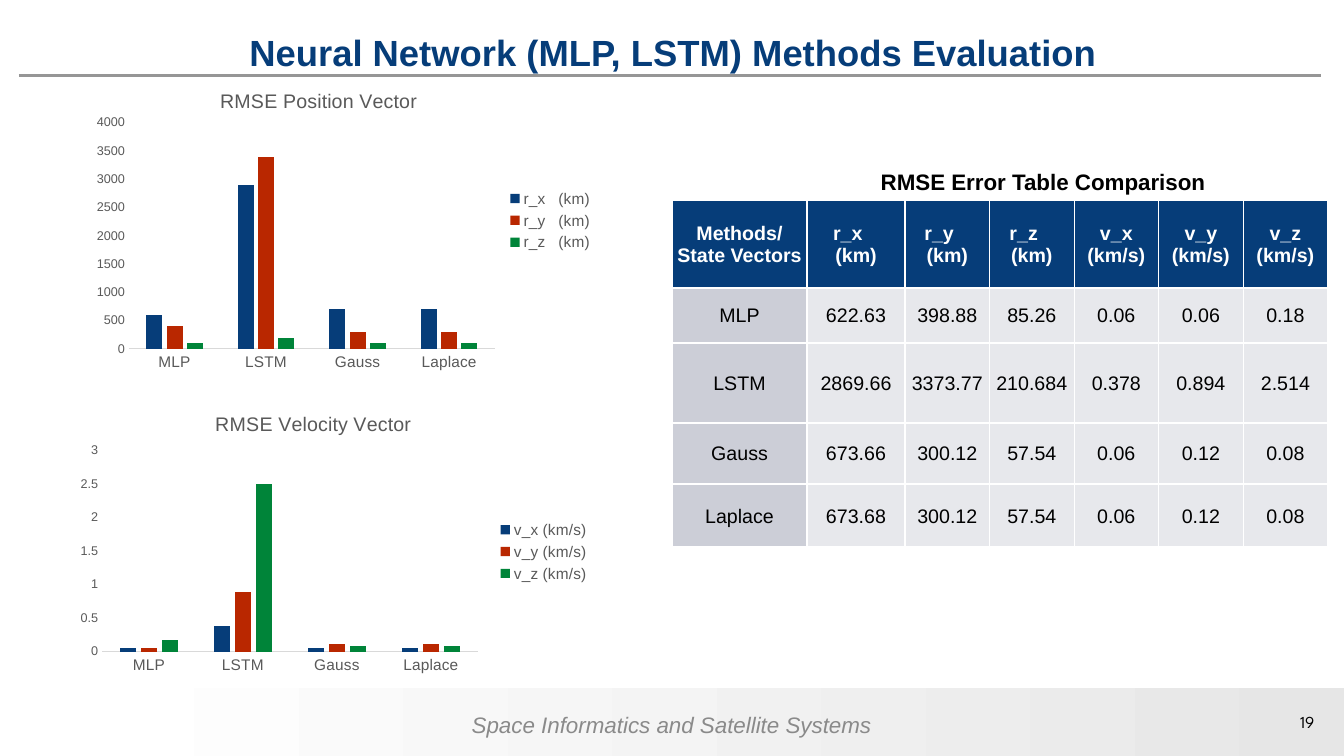
from lxml import etree
from pptx import Presentation
from pptx.chart.data import CategoryChartData
from pptx.dml.color import RGBColor
from pptx.enum import chart as ch, shapes, text
from pptx.oxml.ns import qn
from pptx.util import Pt

NAVY, GREY = "063D79", "595959"
METHODS = ["MLP", "LSTM", "Gauss", "Laplace"]
RMSE = {
    "r_x   (km)": [622.63, 2869.66, 673.66, 673.68],
    "r_y   (km)": [398.88, 3373.77, 300.12, 300.12],
    "r_z   (km)": [85.26, 210.684, 57.54, 57.54],
    "v_x (km/s)": [0.06, 0.378, 0.06, 0.06],
    "v_y (km/s)": [0.06, 0.894, 0.12, 0.12],
    "v_z (km/s)": [0.18, 2.514, 0.08, 0.08],
}
SERIES_COLORS = [NAVY, "B92700", "008439"]


def rgb(value):
    return RGBColor.from_string(value)


def style(font, size, color, bold=False, italic=False, name="Arial"):
    font.name, font.size, font.bold, font.italic = name, Pt(size), bold, italic
    font.color.rgb = rgb(color)


def add_label(s, box, label, align, wrap=True, **look):
    tf = s.shapes.add_textbox(*map(Pt, box)).text_frame
    tf.word_wrap = wrap
    tf.text = label
    p = tf.paragraphs[0]
    p.alignment = align
    style(p.runs[0].font, **look)


def add_title(s, box, label):
    sp = s.shapes.title
    sp.left, sp.top, sp.width, sp.height = map(Pt, box)
    tf = sp.text_frame
    tf.text = label
    tf.vertical_anchor = text.MSO_ANCHOR.MIDDLE
    p = tf.paragraphs[0]
    p.alignment = text.PP_ALIGN.CENTER
    style(p.runs[0].font, 26, NAVY, bold=True)


def add_rule(s, x1, x2, y):
    line = s.shapes.add_connector(shapes.MSO_CONNECTOR.STRAIGHT, Pt(x1), Pt(y), Pt(x2), Pt(y))
    line.line.color.rgb = rgb("969696")
    line.line.width = Pt(2.25)
    etree.SubElement(line._element.spPr, qn("a:effectLst"))


def add_footer(s, box):
    left, top, width, height = box
    band = s.shapes.add_shape(shapes.MSO_SHAPE.RECTANGLE, *map(Pt, box))
    band.shadow.inherit = False
    band.line.fill.background()
    band.fill.gradient()
    band.fill.gradient_angle = 0
    for stop, color in zip(band.fill.gradient_stops, ["FFFFFF", "E6E6E6"]):
        stop.color.rgb = rgb(color)
    add_label(s, (left + 257, top + 13, 317.5, 26.5), "Space Informatics and Satellite Systems",
              text.PP_ALIGN.CENTER, size=16, color="8A8A8A", italic=True)
    add_label(s, (left + width - 44, top + 13.5, 30, 21.5), "19", text.PP_ALIGN.RIGHT,
              wrap=False, size=12, color="000000", name="League Spartan")


def place(part, **fractions):
    """Pin a chart part at fractions of the chart's width and height."""
    for old in part.findall(qn("c:layout")):
        part.remove(old)
    layout = etree.Element(qn("c:layout"))
    manual = etree.SubElement(layout, qn("c:manualLayout"))
    if "w" in fractions:
        etree.SubElement(manual, qn("c:layoutTarget"), val="inner")
    for axis in "xy":
        etree.SubElement(manual, qn(f"c:{axis}Mode"), val="edge")
    for key, value in fractions.items():
        etree.SubElement(manual, qn(f"c:{key}"), val=str(value))
    overlay = part.find(qn("c:overlay"))
    if overlay is None:
        part.insert(0, layout)
    else:
        overlay.addprevious(layout)


def add_rmse_chart(s, box, title, names, digits, top_value, step, plot_at, title_at, legend_at):
    data = CategoryChartData()
    data.categories = METHODS
    for name in names:
        data.add_series(name, [round(v, digits) for v in RMSE[name]])
    chart = s.shapes.add_chart(ch.XL_CHART_TYPE.COLUMN_CLUSTERED, *map(Pt, box), data).chart
    style(chart.font, 10, "000000")

    chart.has_title = True
    tf = chart.chart_title.text_frame
    tf.text = title
    style(tf.paragraphs[0].runs[0].font, 14, GREY)
    chart.chart_title.include_in_layout = False

    chart.has_legend = True
    legend = chart.legend
    legend.position = ch.XL_LEGEND_POSITION.RIGHT
    legend.include_in_layout = False
    style(legend.font, 11, GREY)

    for axis, size in ((chart.category_axis, 11), (chart.value_axis, 9)):
        axis.major_tick_mark = axis.minor_tick_mark = ch.XL_TICK_MARK.NONE
        axis.has_major_gridlines = False
        style(axis.tick_labels.font, size, GREY)
    chart.category_axis.format.line.color.rgb = rgb("D9D9D9")
    chart.category_axis.format.line.width = Pt(0.75)
    values = chart.value_axis
    values.format.line.fill.background()
    values.minimum_scale, values.maximum_scale, values.major_unit = 0, top_value, step

    plot = chart.plots[0]
    plot.vary_by_categories = False
    plot.gap_width, plot.overlap = 219, -27
    for series, color in zip(plot.series, SERIES_COLORS):
        series.format.fill.solid()
        series.format.fill.fore_color.rgb = rgb(color)

    place(chart._chartSpace.chart.plotArea, **dict(zip("xywh", plot_at)))
    place(chart.chart_title._element, **dict(zip("xy", title_at)))
    place(legend._element, **dict(zip("xy", legend_at)))


def add_borders(cell):
    tc_pr = cell._tc.get_or_add_tcPr()
    for side, width in (("L", 1), ("R", 1), ("T", 1.5), ("B", 1.5)):
        ln = etree.SubElement(tc_pr, qn(f"a:ln{side}"), w=str(Pt(width)))
        fill = etree.SubElement(ln, qn("a:solidFill"))
        etree.SubElement(fill, qn("a:srgbClr"), val="FFFFFF")


def add_rmse_table(s, left, top):
    widths = [96.5, 70] + [60.4] * 5
    heights = [62.5, 39.5, 57, 44, 45]
    # Position headings break before their unit; velocity headings wrap by width.
    heads = [name.replace("   ", "   \n") for name in RMSE]
    rows = [["Methods/ State Vectors"] + heads]
    rows += [[m] + [str(v[i]) for v in RMSE.values()] for i, m in enumerate(METHODS)]

    add_label(s, (left + 142, top - 26.5, 249, 26.5), "RMSE Error Table Comparison",
              text.PP_ALIGN.LEFT, wrap=False, size=16, color="000000", bold=True)
    table = s.shapes.add_table(len(rows), len(widths), Pt(left), Pt(top),
                               Pt(sum(widths)), Pt(sum(heights))).table
    table.horz_banding = False
    for column, width in zip(table.columns, widths):
        column.width = Pt(width)
    for i, (row, height) in enumerate(zip(rows, heights)):
        table.rows[i].height = Pt(height)
        for j, label in enumerate(row):
            cell = table.cell(i, j)
            cell.text = label
            cell.vertical_anchor = text.MSO_ANCHOR.MIDDLE
            cell.margin_left = cell.margin_right = cell.margin_top = Pt(0.75)
            cell.margin_bottom = 0
            add_borders(cell)
            cell.fill.solid()
            cell.fill.fore_color.rgb = rgb(NAVY if i == 0 else "CCCED7" if j == 0 else "E7E8EC")
            for p in cell.text_frame.paragraphs:
                p.alignment = text.PP_ALIGN.CENTER
                for r in p.runs:
                    style(r.font, 14, "FFFFFF" if i == 0 else "000000", bold=i == 0)


def main():
    prs = Presentation()
    prs.slide_width, prs.slide_height = Pt(960), Pt(540)
    s = prs.slides.add_slide(prs.slide_layouts[5])
    names = list(RMSE)
    add_footer(s, (64, 491.5, 896, 48.5))
    add_rule(s, 13.5, 943.5, 54)
    add_title(s, (61, 11.5, 840, 51), "Neural Network (MLP, LSTM) Methods Evaluation")
    add_rmse_table(s, 480, 143)
    add_rmse_chart(s, (62.5, 45, 368.5, 224.5), "RMSE Position Vector", names[:3], -2, 4000, 500,
                   (0.08, 0.19, 0.71, 0.72), (0.25, 0.07), (0.81, 0.39))
    add_rmse_chart(s, (50.5, 281, 373, 205), "RMSE Velocity Vector", names[3:], 2, 3, 0.5,
                   (0.06, 0.2, 0.72, 0.7), (0.27, 0.05), (0.82, 0.43))
    prs.save("out.pptx")


if __name__ == "__main__":
    main()
